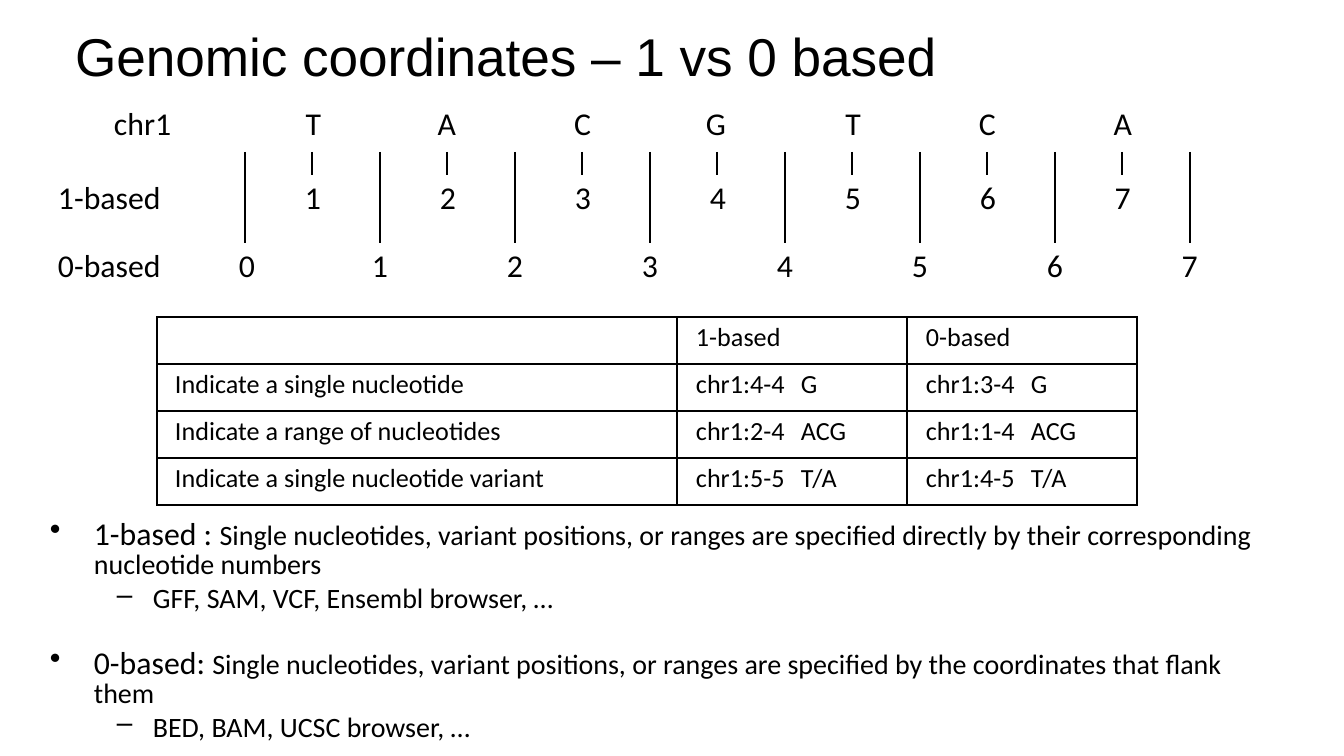
import pptx
import pptx.util
import pptx.dml.color
import pptx.enum.shapes
import pptx.enum.text
from dataclasses import dataclass
from lxml import etree
from pptx.oxml.ns import qn

Pt = pptx.util.Pt
Align = pptx.enum.text.PP_ALIGN


@dataclass(frozen=True)
class Theme:
    ink: pptx.dml.color.RGBColor = pptx.dml.color.RGBColor(0, 0, 0)
    head: str = "Arial"
    body: str = "Calibri"
    title: float = 28.5
    label: int = 17
    note: int = 15
    cell: int = 14
    tiny: int = 8
    line: int = 1


THEME = Theme()
PLAIN = "{2D5ABB26-0587-4C30-8999-92F81FD0307C}"

TITLE = "Genomic coordinates – 1 vs 0 based"
BASES = "TACGTCA"
RULER = [
    ["chr1", *BASES, ""],
    [""] * 9,
    ["1-based", *"1234567", ""],
    ["0-based", *"01234567"],
]
USES = [
    ["", "1-based", "0-based"],
    ["Indicate a single nucleotide", "chr1:4-4\tG", "chr1:3-4\tG"],
    ["Indicate a range of nucleotides", "chr1:2-4\tACG", "chr1:1-4\tACG"],
    ["Indicate a single nucleotide variant", "chr1:5-5\tT/A", "chr1:4-5\tT/A"],
]
NOTES = [
    ("1-based : ", "Single nucleotides, variant positions, or ranges are specified "
     "directly by their corresponding nucleotide numbers",
     "GFF, SAM, VCF, Ensembl browser, …"),
    ("0-based: ", "Single nucleotides, variant positions, or ranges are specified "
     "by the coordinates that flank them",
     "BED, BAM, UCSC browser, …"),
]


def px(n):
    return round(n * 914400 / 134.4)


def write(para, text, size=THEME.label, font=THEME.body, align=None, lead=None, before=None):
    run = para.add_run()
    run.text = text
    run.font.size = Pt(size)
    run.font.name = font
    run.font.color.rgb = THEME.ink
    if align is not None:
        para.alignment = align
    if lead is not None:
        para.line_spacing = lead
    if before is not None:
        para.space_before = Pt(before)


def inset(box, left=0, top=0, right=0):
    box.margin_left, box.margin_top = px(left), px(top)
    box.margin_right, box.margin_bottom = px(right), 0


def tab(para, stop):
    tabs = etree.SubElement(para._p.get_or_add_pPr(), qn("a:tabLst"))
    etree.SubElement(tabs, qn("a:tab"), pos=str(px(stop)), algn="l")


def bullet(para, mark, left, hang):
    props = para._p.get_or_add_pPr()
    props.set("marL", str(px(left)))
    props.set("indent", str(-px(hang)))
    etree.SubElement(props, qn("a:buChar"), char=mark)
    tab(para, left)


def border(cell):
    props = cell._tc.get_or_add_tcPr()
    for side in ("lnL", "lnR", "lnT", "lnB"):
        edge = etree.SubElement(props, qn("a:" + side), w=str(Pt(THEME.line)))
        fill = etree.SubElement(edge, qn("a:solidFill"))
        etree.SubElement(fill, qn("a:srgbClr"), val=str(THEME.ink))


def grid(slide, left, top, cols, rows):
    frame = slide.shapes.add_table(
        len(rows), len(cols), px(left), px(top), px(sum(cols)), px(sum(rows)))
    table = frame.table
    table.first_row = table.horz_banding = False
    table._tbl.tblPr.find(qn("a:tableStyleId")).text = PLAIN
    for col, width in zip(table.columns, cols):
        col.width = px(width)
    for row, height in zip(table.rows, rows):
        row.height = px(height)
    for cell in table.iter_cells():
        inset(cell)
    return table


def blank(cell):
    etree.SubElement(cell.text_frame.paragraphs[0]._p, qn("a:endParaRPr"),
                     sz=str(THEME.tiny * 100))


def head(slide):
    shape = slide.shapes.title
    shape.left, shape.top, shape.width, shape.height = map(px, (74, 16, 868, 67))
    frame = shape.text_frame
    frame.auto_size = pptx.enum.text.MSO_AUTO_SIZE.NONE
    frame.vertical_anchor = pptx.enum.text.MSO_ANCHOR.TOP
    inset(frame, left=1, top=7)
    write(frame.paragraphs[0], TITLE, size=THEME.title, font=THEME.head, align=Align.LEFT)


def uses(slide):
    table = grid(slide, 157, 317, [520, 230, 230], [47] * 4)
    for r, row in enumerate(USES):
        for c, text in enumerate(row):
            cell = table.cell(r, c)
            border(cell)
            cell.fill.background()
            inset(cell, left=19 if c else 18, top=5)
            if not text:
                blank(cell)
                continue
            para = cell.text_frame.paragraphs[0]
            if "\t" in text:
                tab(para, 105)
            write(para, text, size=THEME.cell)


def ticks(slide):
    for i in range(2 * len(BASES) + 1):
        x = px(245 + 135 * i // 2)
        foot = 175 if i % 2 else 243
        line = slide.shapes.add_connector(
            pptx.enum.shapes.MSO_CONNECTOR.STRAIGHT, x, px(152), x, px(foot))
        line.line.color.rgb = THEME.ink
        line.line.width = Pt(THEME.line)
        etree.SubElement(line._element.spPr, qn("a:effectLst"))


def ruler(slide):
    table = grid(slide, 54, 113, [151, 142] + [135] * 5 + [100, 82], [39, 23, 62, 51])
    tops = [0, 0, 4, 11]
    leads = [Pt(16.4), None, None, Pt(20.3)]
    for r, row in enumerate(RULER):
        if r < 3:
            table.cell(r, 7).merge(table.cell(r, 8))
        for c, text in enumerate(row):
            cell = table.cell(r, c)
            cell.fill.background()
            if not text:
                blank(cell)
                continue
            left, right, align = 0, 0, Align.LEFT
            if c == 0:
                left = 4 if r else 60
            elif r == 3 and c == 8:
                right, align = 6, Align.RIGHT
            elif r == 3:
                left = 34 if c == 1 else 25
            elif c == 7:
                left, align = 20, Align.CENTER
            else:
                right, align = 26, Align.RIGHT
            inset(cell, left, tops[r], right)
            write(cell.text_frame.paragraphs[0], text, align=align, lead=leads[r])


def notes(slide):
    frame = slide.shapes.add_textbox(px(48), px(512), px(1210), px(233)).text_frame
    frame.word_wrap = True
    inset(frame, top=9)
    for i, (term, text, tools) in enumerate(NOTES):
        para = frame.add_paragraph() if i else frame.paragraphs[0]
        bullet(para, "•", 46, 44)
        write(para, term, lead=0.82, before=19 if i else None)
        write(para, text, size=THEME.note)
        para = frame.add_paragraph()
        para.level = 1
        bullet(para, "–", 105, 36)
        write(para, tools, size=THEME.note, before=0.5)


def main():
    deck = pptx.Presentation()
    deck.slide_width, deck.slide_height = px(1344), px(756)
    slide = deck.slides.add_slide(deck.slide_layouts[5])
    for draw in (head, uses, ticks, ruler, notes):
        draw(slide)
    deck.save("out.pptx")


if __name__ == "__main__":
    main()
